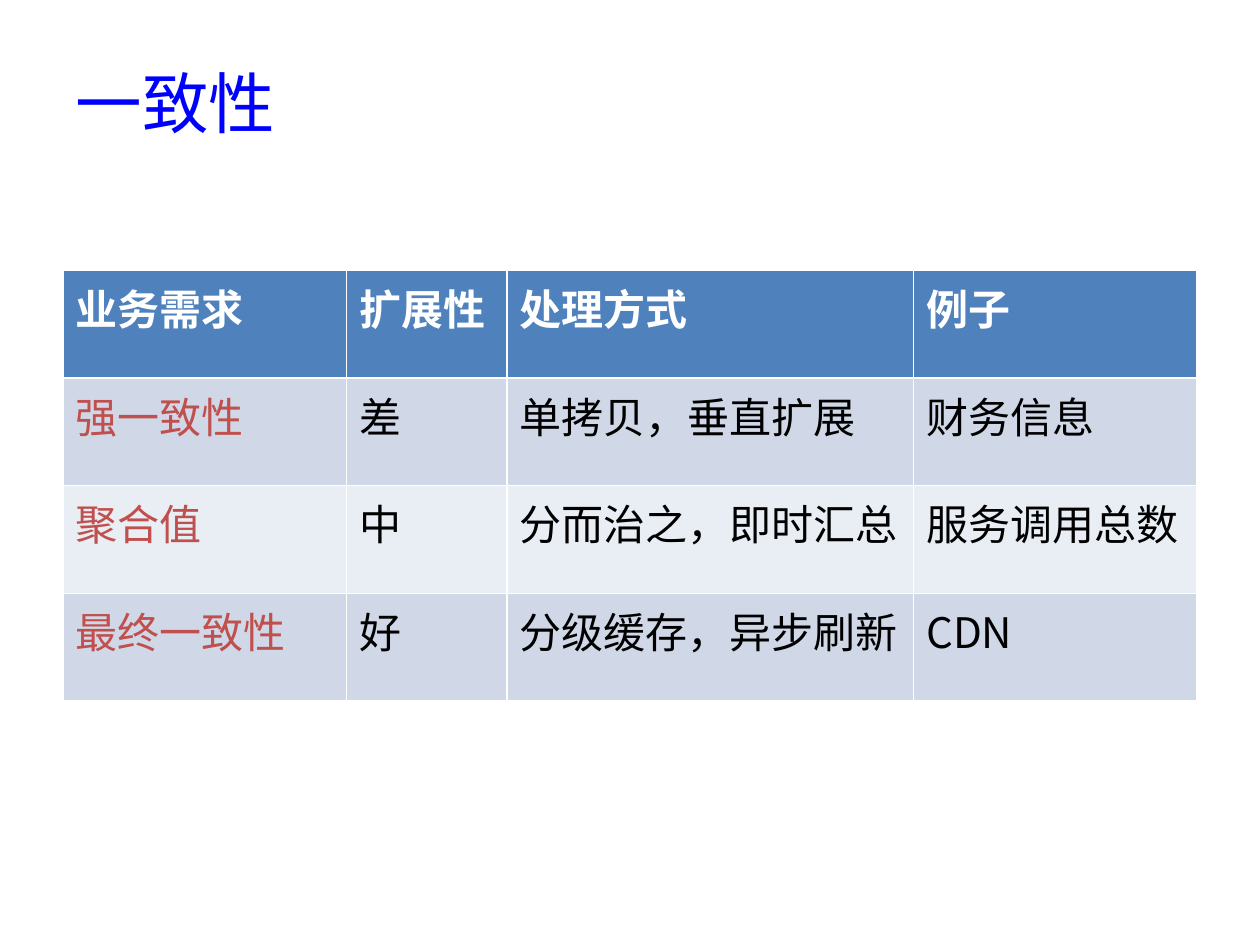
import pptx
import pptx.dml.color
import pptx.enum.text
import pptx.util
import lxml.etree
import pptx.oxml.ns

Cm = pptx.util.Cm
FONT = "Noto Sans CJK SC"
HEAD = "4F81BD"
BANDS = ["D0D8E8", "E9EDF4"]
WIDTHS = [5.72, 3.23, 8.2, 5.71]
HIGH = 2.17
ROWS = [
    ["业务需求", "扩展性", "处理方式", "例子"],
    ["强一致性", "差", "单拷贝，垂直扩展", "财务信息"],
    ["聚合值", "中", "分而治之，即时汇总", "服务调用总数"],
    ["最终一致性", "好", "分级缓存，异步刷新", "CDN"],
]


def tint(color):
    return pptx.dml.color.RGBColor.from_string(color)


def write(frame, text, size, color, bold=False):
    frame.text = text
    for run in frame.paragraphs[0].runs:
        font = run.font
        font.size = pptx.util.Pt(size)
        font.bold = bold
        font.color.rgb = tint(color)
        font.name = FONT
        # Chinese glyphs take their typeface from a:ea
        east = lxml.etree.SubElement(run._r.get_or_add_rPr(), pptx.oxml.ns.qn("a:ea"))
        east.set("typeface", FONT)


def add_title(slide, text):
    title = slide.shapes.title
    title.left, title.top = Cm(1.27), Cm(1.19)
    title.width, title.height = Cm(22.86), Cm(1.73)
    frame = title.text_frame
    write(frame, text, 38, "0000FF")
    frame.auto_size = pptx.enum.text.MSO_AUTO_SIZE.NONE
    frame.vertical_anchor = pptx.enum.text.MSO_ANCHOR.MIDDLE
    frame.paragraphs[0].alignment = pptx.enum.text.PP_ALIGN.LEFT


def add_grid(slide):
    """Add the table; its default style draws the white borders."""
    shape = slide.shapes.add_table(
        len(ROWS), len(WIDTHS), Cm(1.27), Cm(5.45), Cm(sum(WIDTHS)), Cm(HIGH * len(ROWS)))
    table = shape.table
    for col, width in zip(table.columns, WIDTHS):
        col.width = Cm(width)
    for r, row in enumerate(ROWS):
        table.rows[r].height = Cm(HIGH)
        for c, text in enumerate(row):
            cell = table.cell(r, c)
            cell.fill.solid()
            cell.fill.fore_color.rgb = tint(BANDS[(r - 1) % 2] if r else HEAD)
            if r == 0:
                color = "FFFFFF"
            else:
                color = "000000" if c else "C0504D"
            write(cell.text_frame, text, 24, color, bold=r == 0)


def main():
    deck = pptx.Presentation()
    deck.slide_width, deck.slide_height = Cm(25.4), Cm(19.05)
    slide = deck.slides.add_slide(deck.slide_layouts[5])
    add_title(slide, "一致性")
    add_grid(slide)
    deck.save("out.pptx")


if __name__ == "__main__":
    main()
